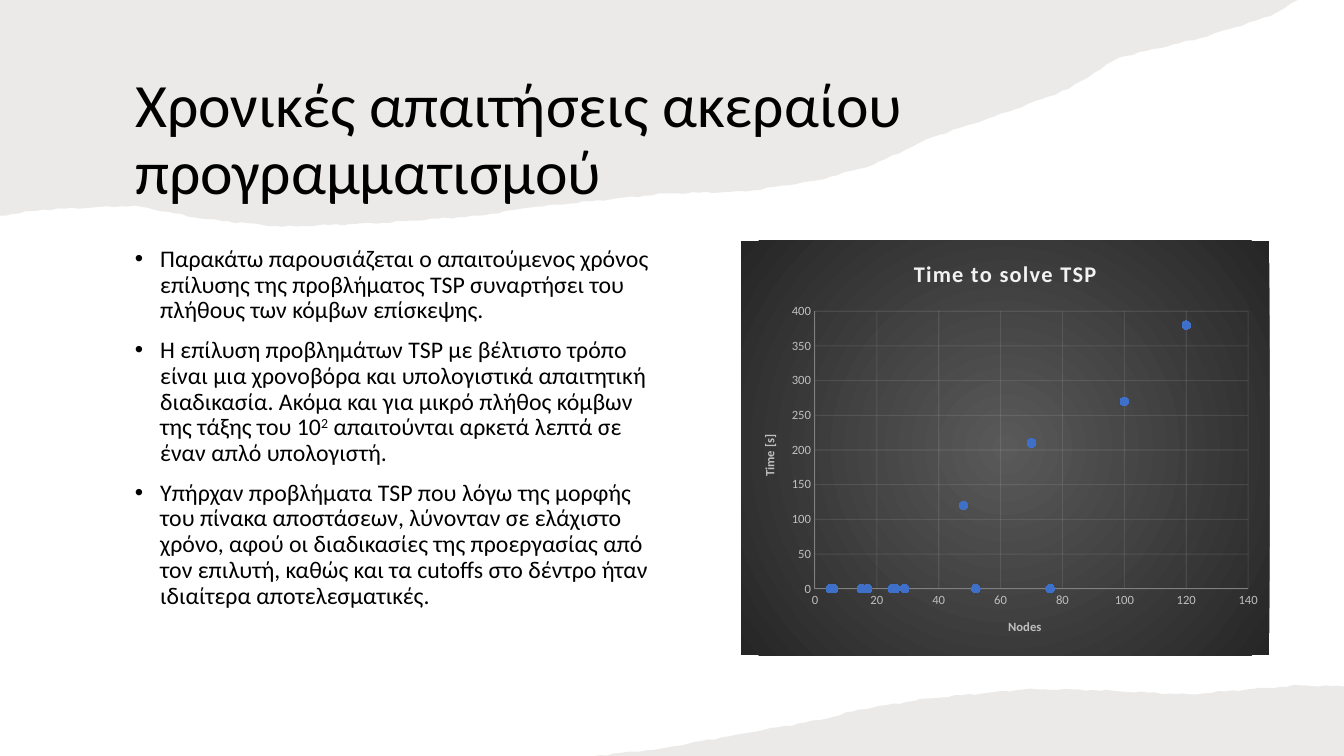
from itertools import pairwise
from math import ceil, sin

from lxml.etree import SubElement
from pptx import Presentation
from pptx.chart.data import XyChartData
from pptx.dml.color import RGBColor
from pptx.enum.chart import XL_CHART_TYPE, XL_MARKER_STYLE, XL_TICK_MARK
from pptx.enum.text import MSO_ANCHOR, PP_ALIGN
from pptx.oxml import parse_xml
from pptx.oxml.ns import nsdecls, qn
from pptx.util import Inches, Pt

SLIDE_WIDTH, SLIDE_HEIGHT = 13.33, 7.5
LEFT_MARGIN = 1.24
BULLET_INDENT = Inches(0.25)

PAPER = RGBColor(0x82, 0x76, 0x6A)
BLACK = RGBColor(0, 0, 0)
LIGHT = RGBColor(0xF2, 0xF2, 0xF2)
LABEL = RGBColor(0xBF, 0xBF, 0xBF)
AXIS = RGBColor(0x80, 0x80, 0x80)
DOT = RGBColor(0x3E, 0x70, 0xCA)
CHART_CENTER = RGBColor(0x59, 0x59, 0x59)
CHART_RIM = RGBColor(0x26, 0x26, 0x26)

# Main bends of each torn edge, left to right; torn_edge adds the roughness
TOP_BENDS = [(0, 2.14), (0.43, 2.08), (1.34, 2.04), (2, 2.17), (2.8, 2.25),
             (3.8, 2.21), (4.75, 2.14), (5.25, 2.06), (6.6, 1.92), (7.4, 1.9),
             (8.1, 1.79), (8.65, 1.64), (9.25, 1.36), (10, 1.11), (10.6, 0.88),
             (11.1, 0.57), (11.9, 0.38), (12.6, 0.16), (12.87, 0)]
BOTTOM_BENDS = [(5.89, 7.5), (6.54, 7.43), (7.3, 7.29), (8.2, 7.13), (8.52, 7.04),
                (9.2, 6.93), (10.15, 6.84), (10.7, 6.84), (11.8, 6.89),
                (12.36, 6.84), (12.9, 6.8), (13.33, 6.81)]

TITLE = "Χρονικές απαιτήσεις ακεραίου προγραμματισμού"
# A caret stands before and after superscript text
POINTS = [
    "Παρακάτω παρουσιάζεται ο απαιτούμενος χρόνος επίλυσης της προβλήματος TSP "
    "συναρτήσει του πλήθους των κόμβων επίσκεψης.",
    "Η επίλυση προβλημάτων TSP με βέλτιστο τρόπο είναι μια χρονοβόρα και υπολογιστικά "
    "απαιτητική διαδικασία. Ακόμα και για μικρό πλήθος κόμβων της τάξης του 10^2^ "
    "απαιτούνται αρκετά λεπτά σε έναν απλό υπολογιστή.",
    "Υπήρχαν προβλήματα TSP που λόγω της μορφής του πίνακα αποστάσεων, λύνονταν σε "
    "ελάχιστο χρόνο, αφού οι διαδικασίες της προεργασίας από τον επιλυτή, καθώς και τα "
    "cutoffs στο δέντρο ήταν ιδιαίτερα αποτελεσματικές.",
]
SECONDS_BY_NODES = {5: 0, 6: 0, 15: 0, 17: 0, 25: 0, 26: 0, 29: 0,
                    48: 120, 52: 0, 70: 210, 76: 0, 100: 270, 120: 380}


def torn_edge(bends, step=0.07, roughness=0.01):
    """Join the bends with short steps that waver up and down."""
    edge = [bends[0]]
    for (x0, y0), (x1, y1) in pairwise(bends):
        steps = ceil((x1 - x0) / step)
        for i in range(1, steps):
            x = x0 + (x1 - x0) * i / steps
            waver = roughness * (sin(17 * x) + sin(41 * x)) / 2
            edge.append((x, y0 + (y1 - y0) * i / steps + waver))
        edge.append((x1, y1))
    return edge


def set_opacity(element, percent):
    for color in element.iter(qn("a:srgbClr")):
        SubElement(color, qn("a:alpha"), val=str(percent * 1000))


class SlideBuilder:
    """Holds the shared style and the slide being filled."""
    font_name = "Calibri"
    line_spacing = 0.9
    hairline = Pt(0.75)

    def __init__(self, deck):
        self.slide = deck.slides.add_slide(deck.slide_layouts[5])

    def style(self, font, size, color, bold=False):
        font.name, font.size, font.bold = self.font_name, Pt(size), bold
        font.color.rgb = color

    def title(self, text, box):
        heading = self.slide.shapes.title
        heading.left, heading.top, heading.width, heading.height = map(Inches, box)
        frame = heading.text_frame
        frame.text, frame.word_wrap = text, True
        frame.vertical_anchor = MSO_ANCHOR.MIDDLE
        line = frame.paragraphs[0]
        line.alignment, line.line_spacing = PP_ALIGN.LEFT, self.line_spacing
        self.style(line.font, 44, BLACK)

    def torn_paper(self, bends, corner):
        """Fill the area between a torn edge and a corner of the slide."""
        start, *rest = [(Inches(x), Inches(y)) for x, y in [corner, *torn_edge(bends)]]
        builder = self.slide.shapes.build_freeform(*start)
        builder.add_line_segments(rest, close=True)
        paper = builder.convert_to_shape()
        paper.shadow.inherit = False
        paper.fill.solid()
        paper.fill.fore_color.rgb = PAPER
        set_opacity(paper.element.spPr, 15)
        paper.line.fill.background()
        # Paper lies behind the title
        self.slide.shapes.title.element.addprevious(paper.element)

    def bullets(self, points, box):
        frame = self.slide.shapes.add_textbox(*map(Inches, box)).text_frame
        frame.word_wrap = True
        for i, point in enumerate(points):
            item = frame.add_paragraph() if i else frame.paragraphs[0]
            item.line_spacing, item.space_before = self.line_spacing, Pt(10)
            self.bullet_mark(item)
            for part, text in enumerate(point.split("^")):
                run = item.add_run()
                run.text = text
                self.style(run.font, 17, BLACK)
                if part % 2:
                    run.font._element.set("baseline", "30000")

    def bullet_mark(self, item):
        props = item._p.get_or_add_pPr()
        props.set("marL", str(BULLET_INDENT))
        props.set("indent", str(-BULLET_INDENT))
        SubElement(props, qn("a:buFont"), typeface="Arial")
        SubElement(props, qn("a:buChar"), char="•")

    def scatter(self, name, seconds_by_nodes, box):
        data = XyChartData()
        measured = data.add_series("Series 1")
        for nodes, seconds in seconds_by_nodes.items():
            measured.add_data_point(nodes, seconds)
        chart = self.slide.shapes.add_chart(
            XL_CHART_TYPE.XY_SCATTER, *map(Inches, box), data).chart
        self.style(chart.font, 10, BLACK)
        chart.has_legend = False
        chart.has_title = True
        frame = chart.chart_title.text_frame
        frame.text = name
        heading_font = frame.paragraphs[0].font
        self.style(heading_font, 16, LIGHT, bold=True)
        heading_font._element.set("spc", "100")
        self.axis(chart.category_axis, "Nodes", maximum=140, step=20)
        self.axis(chart.value_axis, "Time [s]", maximum=400, step=50)
        self.dots(chart.plots[0])
        self.radial_background(chart)
        self.plot_area(chart, x=0.14, y=0.17, w=0.82, h=0.67)

    def axis(self, axis, name, maximum, step):
        axis.minimum_scale, axis.maximum_scale, axis.major_unit = 0, maximum, step
        axis.major_tick_mark = axis.minor_tick_mark = XL_TICK_MARK.NONE
        self.style(axis.tick_labels.font, 9, LABEL)
        axis.has_major_gridlines = True
        grid = axis.major_gridlines.format.line
        for line, color in ((axis.format.line, AXIS), (grid, LIGHT)):
            line.color.rgb, line.width = color, self.hairline
        set_opacity(axis.major_gridlines._xAx.find(qn("c:majorGridlines")), 10)
        frame = axis.axis_title.text_frame
        frame.text = name
        self.style(frame.paragraphs[0].font, 9, LABEL, bold=True)

    def dots(self, plot):
        plot.vary_by_categories = False
        measured = plot.series[0]
        measured.smooth = False
        measured.format.line.fill.background()
        marker = measured.marker
        marker.style, marker.size = XL_MARKER_STYLE.CIRCLE, 6
        marker.format.fill.solid()
        marker.format.fill.fore_color.rgb = DOT
        marker.format.line.fill.background()

    def radial_background(self, chart):
        stops = "".join(f'<a:gs pos="{pos}"><a:srgbClr val="{color}"/></a:gs>'
                        for pos, color in ((0, CHART_CENTER), (100000, CHART_RIM)))
        middle = " ".join(f'{side}="50000"' for side in "ltrb")
        chart._chartSpace.find(qn("c:txPr")).addprevious(parse_xml(
            f'<c:spPr {nsdecls("c", "a")}><a:gradFill><a:gsLst>{stops}</a:gsLst>'
            f'<a:path path="circle"><a:fillToRect {middle}/></a:path></a:gradFill>'
            '<a:ln><a:noFill/></a:ln></c:spPr>'))

    def plot_area(self, chart, **shares):
        """Place the inner plot area by its shares of the chart's size."""
        area = chart._chartSpace.chart.plotArea
        for automatic in area.findall(qn("c:layout")):
            area.remove(automatic)
        settings = {"layoutTarget": "inner", "xMode": "edge", "yMode": "edge", **shares}
        layout = parse_xml(f'<c:layout {nsdecls("c")}><c:manualLayout/></c:layout>')
        for key, value in settings.items():
            SubElement(layout[0], qn(f"c:{key}"), val=str(value))
        area.insert(0, layout)


def main():
    deck = Presentation()
    deck.slide_width, deck.slide_height = Inches(SLIDE_WIDTH), Inches(SLIDE_HEIGHT)
    page = SlideBuilder(deck)
    page.title(TITLE, (LEFT_MARGIN, 0.67, 10.27, 1.46))
    page.torn_paper(TOP_BENDS, corner=(0, 0))
    page.torn_paper(BOTTOM_BENDS, corner=(SLIDE_WIDTH, SLIDE_HEIGHT))
    page.bullets(POINTS, (LEFT_MARGIN, 2.4, 5.42, 4.28))
    page.scatter("Time to solve TSP", SECONDS_BY_NODES, (7.35, 2.39, 5.24, 4.11))
    deck.save("out.pptx")


if __name__ == "__main__":
    main()
